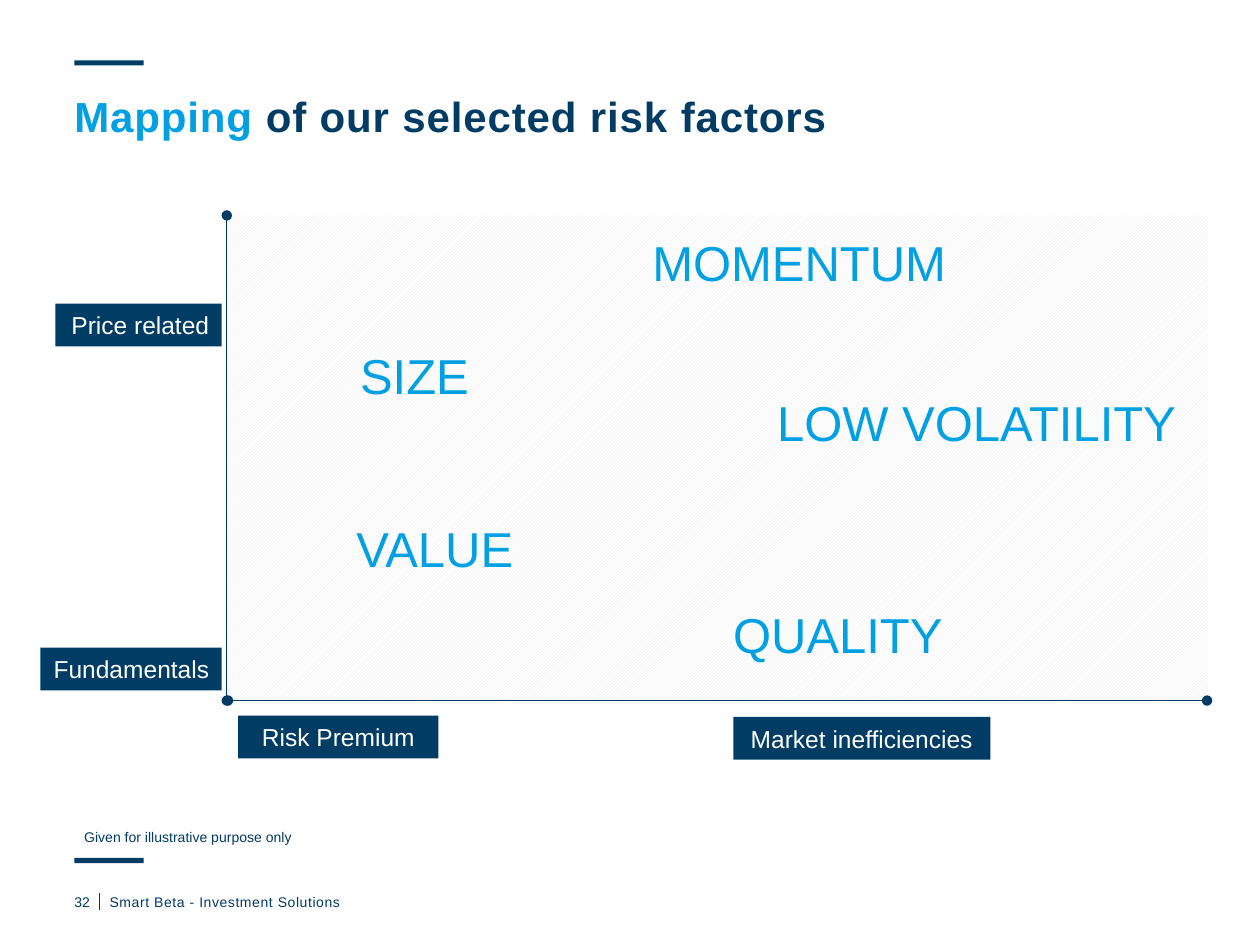
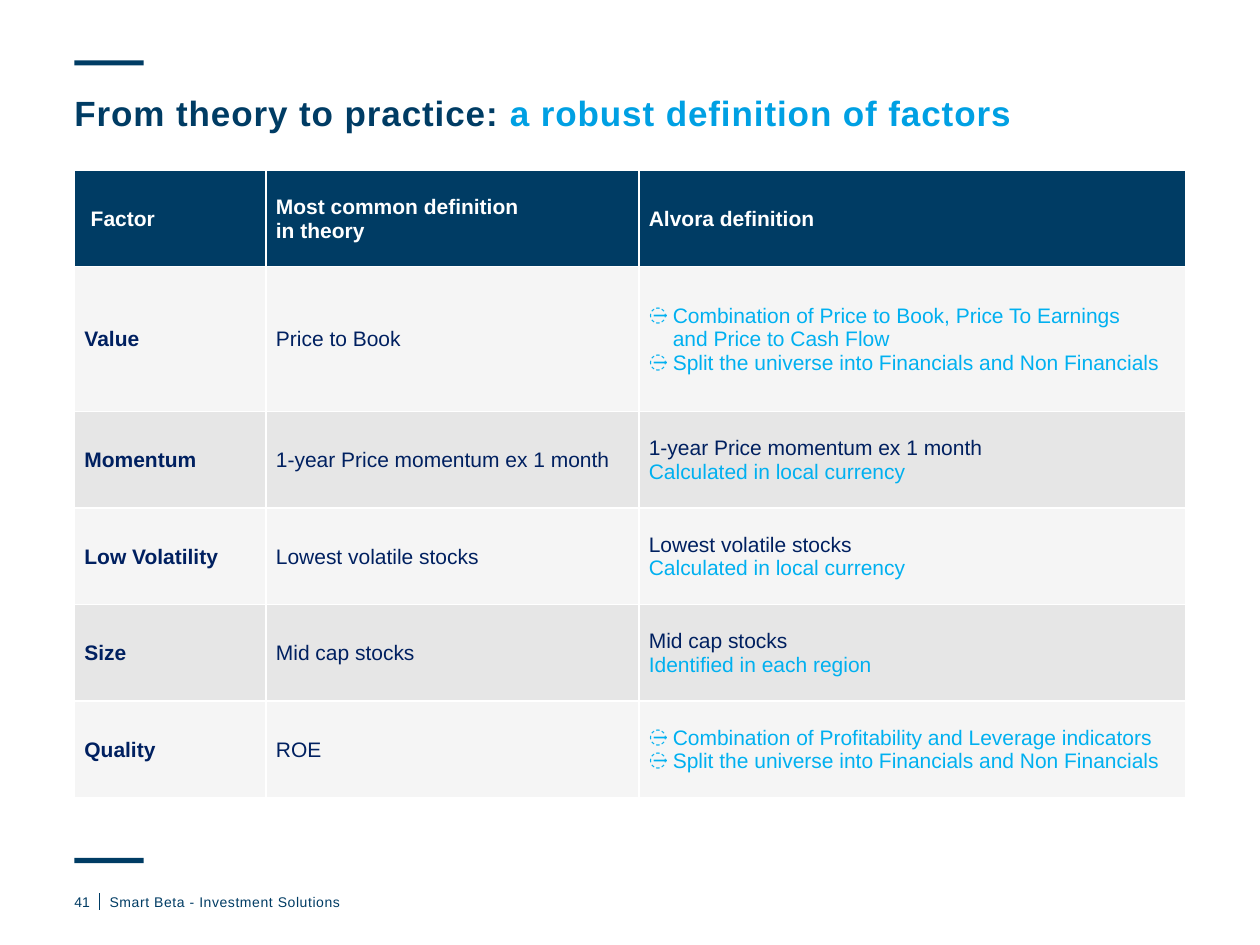
import pptx
import pptx.util
import pptx.dml.color
import pptx.enum.dml
import pptx.enum.shapes
import pptx.enum.text
from lxml import etree
from pptx.oxml.ns import qn

Inches = pptx.util.Inches
Pt = pptx.util.Pt
RGBColor = pptx.dml.color.RGBColor
ALIGN = pptx.enum.text.PP_ALIGN
ANCHOR = pptx.enum.text.MSO_ANCHOR

# Shared style
FONT = "Arial"
NAVY = RGBColor(0x00, 0x3C, 0x64)
BLUE = RGBColor(0x00, 0xA0, 0xE3)
WHITE = RGBColor(0xFF, 0xFF, 0xFF)
HATCH = RGBColor(0xE7, 0xE6, 0xE6)
CELL_NAVY = RGBColor(0x00, 0x20, 0x60)
CELL_BLUE = RGBColor(0x00, 0xB0, 0xF0)
LIGHT_ROW = RGBColor(0xF5, 0xF5, 0xF5)
DARK_ROW = RGBColor(0xE6, 0xE6, 0xE6)
LEFT = 0.59
FOOTER = "Smart Beta - Investment Solutions"

# Factor map: text, left, top, width
FACTORS = [
    ("MOMENTUM", 5.08, 1.8, 2.56),
    ("SIZE", 2.76, 2.69, 1.07),
    ("LOW VOLATILITY", 6.07, 3.07, 3.4),
    ("VALUE", 2.73, 4.07, 1.46),
    ("QUALITY", 5.72, 4.75, 1.88),
]
AXIS_LABELS = [
    ("Price related", 0.44, 2.41, 1.32, ALIGN.RIGHT),
    ("Fundamentals", 0.32, 5.14, 1.44, ALIGN.RIGHT),
    ("Risk Premium", 1.89, 5.68, 1.59, ALIGN.CENTER),
    ("Market inefficiencies", 5.82, 5.69, 2.04, ALIGN.CENTER),
]

# Definition table: factor, theory, house definition as (text, colour, bulleted)
HEADINGS = ["Factor", "Most common definition\nin theory", "Alvora definition"]
SPLIT = ("Split the universe into Financials and Non Financials", CELL_BLUE, True)
LOCAL = ("Calculated in local currency", CELL_BLUE, False)
DEFINITIONS = [
    ("Value", "Price to Book",
     [("Combination of Price to Book, Price To Earnings\nand Price to Cash Flow",
       CELL_BLUE, True), SPLIT]),
    ("Momentum", "1-year Price momentum ex 1 month",
     [("1-year Price momentum ex 1 month", CELL_NAVY, False), LOCAL]),
    ("Low Volatility", "Lowest volatile stocks",
     [("Lowest volatile stocks", CELL_NAVY, False), LOCAL]),
    ("Size", "Mid cap stocks",
     [("Mid cap stocks", CELL_NAVY, False),
      ("Identified in each region", CELL_BLUE, False)]),
    ("Quality", "ROE",
     [("Combination of Profitability and Leverage indicators", CELL_BLUE, True),
      SPLIT]),
]
COLUMN_WIDTHS = [1.52, 2.96, 4.34]
TABLE_HEIGHT = 4.98
TALL_ROW = 1.15


def add_span(para, text, size, color, bold=False, spacing=0):
    """Add text to a paragraph; a newline becomes a line break."""
    for index, line in enumerate(text.split("\n")):
        if index:
            para.add_line_break()
        span = para.add_run()
        span.text = line
        span.font.name = FONT
        span.font.size = Pt(size)
        span.font.bold = bold
        span.font.color.rgb = color
        if spacing:
            span.font._element.set("spc", str(round(spacing * 100)))


def add_text(page, left, top, width, height, spans, size, bold=False,
             spacing=0, inset=True, wrap=True, align=ALIGN.LEFT):
    box = page.shapes.add_textbox(Inches(left), Inches(top),
                                  Inches(width), Inches(height))
    frame = box.text_frame
    frame.word_wrap = wrap
    if not inset:
        frame.margin_left = frame.margin_right = 0
        frame.margin_top = frame.margin_bottom = 0
    para = frame.paragraphs[0]
    para.alignment = align
    for text, color in spans:
        add_span(para, text, size, color, bold, spacing)
    return para


def add_block(page, left, top, width, height):
    block = page.shapes.add_shape(pptx.enum.shapes.MSO_SHAPE.RECTANGLE,
                                  Inches(left), Inches(top),
                                  Inches(width), Inches(height))
    block.shadow.inherit = False
    block.fill.solid()
    block.fill.fore_color.rgb = NAVY
    block.line.fill.background()
    return block


def add_line(page, x1, y1, x2, y2, dotted_ends=False):
    line = page.shapes.add_connector(pptx.enum.shapes.MSO_CONNECTOR.STRAIGHT,
                                     Inches(x1), Inches(y1),
                                     Inches(x2), Inches(y2))
    line.line.color.rgb = NAVY
    line.line.width = Pt(0.5)
    properties = line._element.spPr
    if dotted_ends:
        for end in ("a:headEnd", "a:tailEnd"):
            etree.SubElement(properties.find(qn("a:ln")), qn(end), type="oval")
    etree.SubElement(properties, qn("a:effectLst"))


def add_page(deck, number, title, title_size):
    """Add a blank page with the title, accent bars and footer."""
    page = deck.slides.add_slide(deck.slide_layouts[6])
    for top in (0.48, 6.81):
        add_block(page, LEFT, top, 0.55, 0.04)
    para = add_text(page, LEFT, 0.76, 8.82, 0.42, title, title_size,
                    bold=True, spacing=0.5, inset=False)
    para.line_spacing = 0.9
    add_line(page, 0.79, 7.09, 0.79, 7.22)
    add_text(page, LEFT, 7.09, 0.2, 0.2, [(number, NAVY)], 8, inset=False)
    add_text(page, 0.87, 7.09, 5.7, 0.2, [(FOOTER, NAVY)], 8,
             spacing=0.3, inset=False)
    return page


def add_axis_label(page, text, left, top, width, align):
    label = add_block(page, left, top, width, 0.34)
    label.text_frame.word_wrap = True
    para = label.text_frame.paragraphs[0]
    para.alignment = align
    add_span(para, text, 14, WHITE)


def add_bullet(para):
    properties = para._p.get_or_add_pPr()
    properties.set("marL", str(Inches(0.19)))
    properties.set("indent", str(Inches(-0.19)))
    etree.SubElement(properties, qn("a:buChar"), char="̶")


def set_borders(cell, sides):
    properties = cell._tc.get_or_add_tcPr()
    for side in sides:
        border = etree.SubElement(properties, qn("a:ln" + side),
                                  w=str(Pt(1)))
        fill = etree.SubElement(border, qn("a:solidFill"))
        etree.SubElement(fill, qn("a:srgbClr"), val=str(WHITE))


def fill_cell(cell, lines, fill, bold, sides):
    cell.vertical_anchor = ANCHOR.MIDDLE
    cell.margin_left = Inches(0.08)
    cell.margin_right = cell.margin_top = Inches(0.01)
    cell.margin_bottom = 0
    set_borders(cell, sides)
    cell.fill.solid()
    cell.fill.fore_color.rgb = fill
    frame = cell.text_frame
    for index, (text, color, bulleted) in enumerate(lines):
        para = frame.add_paragraph() if index else frame.paragraphs[0]
        if bulleted:
            add_bullet(para)
        add_span(para, text, 12, color, bold)


def add_definition_table(page):
    rows = [[[(heading, WHITE, False)] for heading in HEADINGS]]
    for factor, theory, definition in DEFINITIONS:
        rows.append([[(factor, CELL_NAVY, False)],
                     [(theory, CELL_NAVY, False)], definition])
    table = page.shapes.add_table(
        len(rows), len(HEADINGS), Inches(LEFT), Inches(1.35),
        Inches(sum(COLUMN_WIDTHS)), Inches(TABLE_HEIGHT)).table
    table.first_row = table.horz_banding = False
    for column, width in zip(table.columns, COLUMN_WIDTHS):
        column.width = Inches(width)
    plain_row = (TABLE_HEIGHT - TALL_ROW) / (len(rows) - 1)
    for r, row in enumerate(rows):
        table.rows[r].height = Inches(TALL_ROW if r == 1 else plain_row)
        fill = NAVY if r == 0 else LIGHT_ROW if r % 2 else DARK_ROW
        for c, lines in enumerate(row):
            # White lines run only between cells
            inner = {"L": c > 0, "R": c < len(row) - 1,
                     "T": r > 0, "B": r < len(rows) - 1}
            sides = [side for side, shown in inner.items() if shown]
            fill_cell(table.cell(r, c), lines, fill, r == 0 or c == 0, sides)
    table.cell(0, 0).margin_left = Inches(0.13)


def build_factor_map(deck):
    page = add_page(deck, "32", [("Mapping", BLUE),
                                 (" of our selected risk factors", NAVY)], 24)
    # Hatched plot area and axes
    plot = add_block(page, 1.81, 1.71, 7.78, 3.85)
    plot.fill.patterned()
    plot.fill.pattern = pptx.enum.dml.MSO_PATTERN.DARK_UPWARD_DIAGONAL
    plot.fill.fore_color.rgb = HATCH
    plot.fill.back_color.rgb = WHITE
    add_line(page, 1.8, 1.71, 1.8, 5.56, dotted_ends=True)
    add_line(page, 9.58, 5.56, 1.81, 5.56, dotted_ends=True)
    for label in AXIS_LABELS:
        add_axis_label(page, *label)
    # Factors and note
    for name, left, top, width in FACTORS:
        add_text(page, left, top, width, 0.57, [(name, BLUE)], 28, wrap=False)
    add_text(page, 0.57, 6.53, 1.87, 0.24,
             [("Given for illustrative purpose only", NAVY)], 8, wrap=False)


def build_definitions(deck):
    page = add_page(deck, "41", [("From theory to practice: ", NAVY),
                                 ("a robust definition of factors", BLUE)], 20)
    add_definition_table(page)


def main():
    deck = pptx.Presentation()
    deck.slide_width = Inches(10)
    deck.slide_height = Inches(7.5)
    build_factor_map(deck)
    build_definitions(deck)
    deck.save("out.pptx")


if __name__ == "__main__":
    main()
